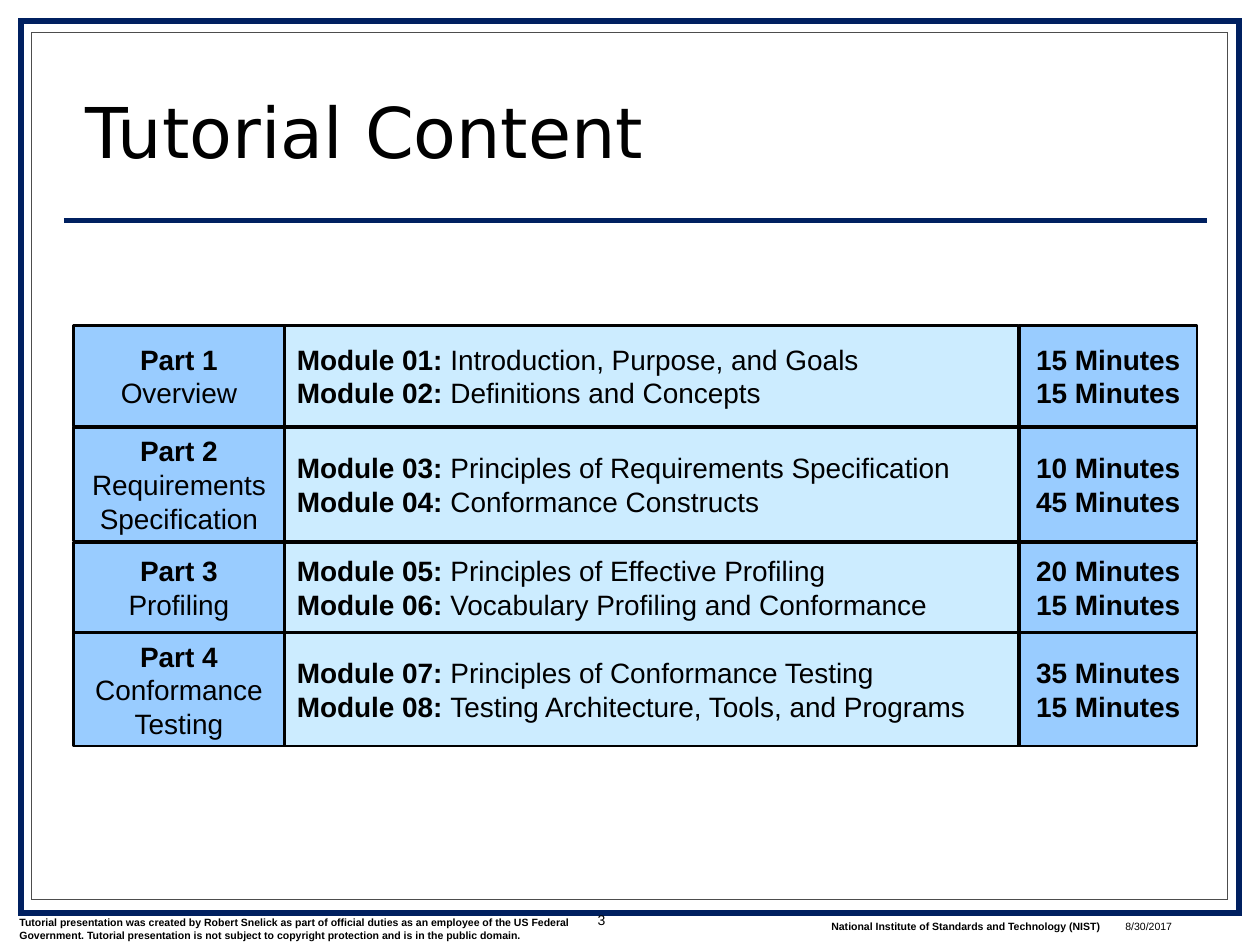
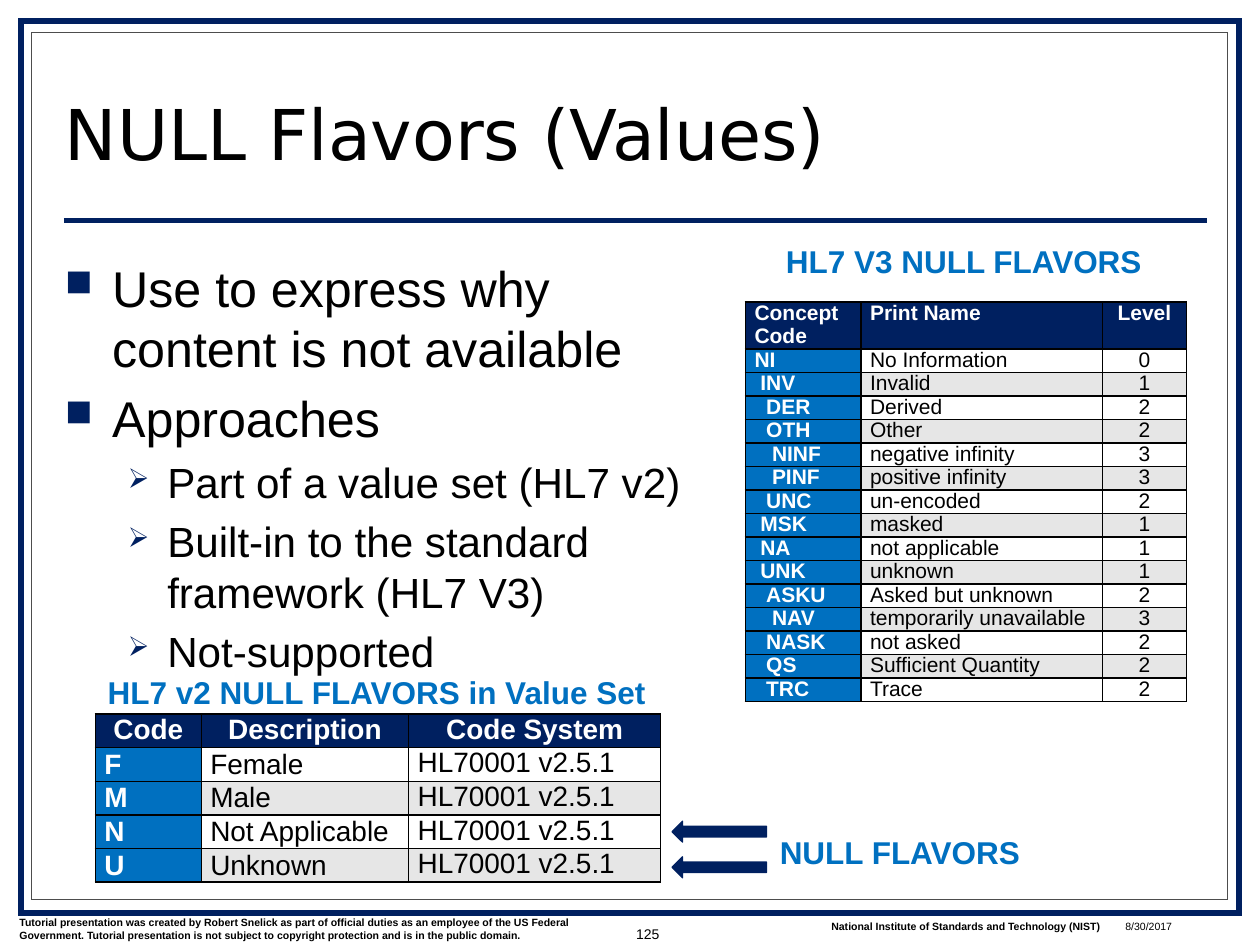
"""Build two tutorial slides: the course outline and the HL7 null flavors."""
from dataclasses import dataclass

from lxml import etree
from pptx import Presentation
from pptx.dml.color import RGBColor
from pptx.enum import shapes, text
from pptx.oxml import ns
from pptx.util import Pt

ALIGN = text.PP_ALIGN
ANCHOR = text.MSO_ANCHOR


@dataclass(frozen=True)
class Theme:
    """Colours, fonts and type sizes shared by the slides."""
    navy: str = "002060"
    blue: str = "0070C0"
    sky: str = "99CCFF"
    pale: str = "CCECFF"
    band: str = "E6E6E6"
    gray: str = "4D4D4D"
    black: str = "000000"
    white: str = "FFFFFF"
    body_font: str = "Arial"
    title_font: str = "DejaVu Sans"
    title: float = 40
    bullet: float = 28.7
    sub_bullet: float = 24.1
    caption: float = 18
    cell: float = 16
    small_cell: float = 12
    number: float = 8
    footer: float = 6


THEME = Theme()

CREDIT = ("Tutorial presentation was created by Robert Snelick as part of official duties "
          "as an employee of the US Federal Government. Tutorial presentation is not subject "
          "to copyright protection and is in the public domain.")
INSTITUTE = "National Institute of Standards and Technology (NIST)"

PARTS = [
    (186, 57.6, "Part 1", "Overview",
     [("01", "Introduction, Purpose, and Goals", 15),
      ("02", "Definitions and Concepts", 15)]),
    (244.2, 65, "Part 2", "Requirements Specification",
     [("03", "Principles of Requirements Specification", 10),
      ("04", "Conformance Constructs", 45)]),
    (310, 51.5, "Part 3", "Profiling",
     [("05", "Principles of Effective Profiling", 20),
      ("06", "Vocabulary Profiling and Conformance", 15)]),
    (361.6, 64.8, "Part 4", "Conformance Testing",
     [("07", "Principles of Conformance Testing", 35),
      ("08", "Testing Architecture, Tools, and Programs", 15)]),
]

BULLETS = [
    (0, "Use to express why content is not available"),
    (0, "Approaches"),
    (1, "Part of a value set (HL7 v2)"),
    (1, "Built-in to the standard framework (HL7 V3)"),
    (1, "Not-supported"),
]

V3_FLAVORS = [
    ("NI", "No Information", 0), ("INV", "Invalid", 1), ("DER", "Derived", 2),
    ("OTH", "Other", 2), ("NINF", "negative infinity", 3),
    ("PINF", "positive infinity", 3), ("UNC", "un-encoded", 2), ("MSK", "masked", 1),
    ("NA", "not applicable", 1), ("UNK", "unknown", 1), ("ASKU", "Asked but unknown", 2),
    ("NAV", "temporarily unavailable", 3), ("NASK", "not asked", 2),
    ("QS", "Sufficient Quantity", 2), ("TRC", "Trace", 2),
]

V2_CODES = [("F", "Female"), ("M", "Male"), ("N", "Not Applicable"), ("U", "Unknown")]


def rgb(color):
    """Turn a hex string into a colour."""
    return RGBColor.from_string(color)


def style_run(run, size, color=THEME.black, bold=False, font=THEME.body_font):
    """Set the font of one run."""
    run.font.name = font
    run.font.size = Pt(size)
    run.font.bold = bold
    run.font.color.rgb = rgb(color)


def add_paragraph(frame, index, parts, size, align=ALIGN.LEFT):
    """Write one paragraph of (text, bold) parts."""
    paragraph = frame.paragraphs[0] if index == 0 else frame.add_paragraph()
    paragraph.alignment = align
    for words, bold in parts:
        run = paragraph.add_run()
        run.text = words
        style_run(run, size, bold=bold)


def add_shape(slide, kind, box, fill, line, width):
    """Draw a preset shape without shadow."""
    shape = slide.shapes.add_shape(kind, *map(Pt, box))
    shape.shadow.inherit = False
    shape.fill.solid()
    shape.fill.fore_color.rgb = rgb(fill)
    shape.line.color.rgb = rgb(line)
    shape.line.width = Pt(width)
    return shape


def add_frame(slide, box, line, width):
    """Draw a white page frame with square corners."""
    frame = add_shape(slide, shapes.MSO_SHAPE.RECTANGLE, box, THEME.white, line, width)
    outline = frame._element.spPr.find(ns.qn("a:ln"))
    etree.SubElement(outline, ns.qn("a:miter"), lim="800000")


def add_text(slide, box, words, size, align=ALIGN.LEFT, anchor=ANCHOR.TOP, wrap=True, **font):
    """Place a single-paragraph text box."""
    frame = slide.shapes.add_textbox(*map(Pt, box)).text_frame
    frame.word_wrap = wrap
    frame.vertical_anchor = anchor
    frame.text = words
    paragraph = frame.paragraphs[0]
    paragraph.alignment = align
    style_run(paragraph.runs[0], size, **font)
    return paragraph


def add_caption(slide, box, words, wrap=False):
    """Place a bold blue caption."""
    add_text(slide, box, words, THEME.caption, wrap=wrap, color=THEME.blue, bold=True)


def add_title_rule(slide):
    """Draw the line under the title."""
    rule = slide.shapes.add_connector(shapes.MSO_CONNECTOR.STRAIGHT,
                                      Pt(36.5), Pt(126), Pt(690), Pt(126))
    rule.line.color.rgb = rgb(THEME.navy)
    rule.line.width = Pt(3)
    etree.SubElement(rule._element.spPr, ns.qn("a:effectLst"))


def add_base_slide(presentation, title, title_box, number, number_box):
    """Add a slide with frame, title, rule and footer."""
    slide = presentation.slides.add_slide(presentation.slide_layouts[6])
    add_frame(slide, (12, 12, 696, 510), THEME.navy, 3.5)
    add_frame(slide, (18, 18.5, 683.5, 495.5), THEME.gray, 0.75)
    add_title_rule(slide)
    add_text(slide, (4, 520, 348, 21.6), CREDIT, THEME.footer, bold=True)
    add_text(slide, (468, 522, 171.5, 14.4), INSTITUTE, THEME.footer, bold=True)
    heading = add_text(slide, title_box, title, THEME.title, anchor=ANCHOR.BOTTOM,
                       font=THEME.title_font)
    heading.line_spacing = 0.8
    add_text(slide, (636, 522, 66, 12), "8/30/2017", THEME.footer)
    add_text(slide, number_box, number, THEME.number, ALIGN.RIGHT, ANCHOR.MIDDLE)
    return slide


def add_panel(slide, box, fill, lines, align):
    """Draw an outlined panel holding lines of (text, bold) parts."""
    panel = add_shape(slide, shapes.MSO_SHAPE.RECTANGLE, box, fill, THEME.black, 1.5)
    frame = panel.text_frame
    frame.word_wrap = True
    frame.vertical_anchor = ANCHOR.MIDDLE
    for index, parts in enumerate(lines):
        add_paragraph(frame, index, parts, THEME.cell, align)


def add_part_row(slide, top, height, part, topic, modules):
    """Draw one outline row: part, modules and durations."""
    add_panel(slide, (42, top, 120.5, height), THEME.sky,
              [[(part, True)], [(topic, False)]], ALIGN.CENTER)
    add_panel(slide, (162.5, top, 419.5, height), THEME.pale,
              [[(f"Module {code}: ", True), (name, False)] for code, name, _ in modules],
              ALIGN.LEFT)
    add_panel(slide, (582.5, top, 101.5, height), THEME.sky,
              [[(f"{minutes} Minutes", True)] for _, _, minutes in modules], ALIGN.CENTER)


def set_bullet(paragraph, character, percent, margin, hanging):
    """Give a paragraph a coloured hanging bullet."""
    properties = paragraph._p.get_or_add_pPr()
    properties.set("marL", str(Pt(margin)))
    properties.set("indent", str(-Pt(hanging)))
    color = etree.SubElement(properties, ns.qn("a:buClr"))
    etree.SubElement(color, ns.qn("a:srgbClr"), val=THEME.navy)
    etree.SubElement(properties, ns.qn("a:buSzPct"), val=str(percent * 1000))
    etree.SubElement(properties, ns.qn("a:buChar"), char=character)


def add_bullets(slide, box, items):
    """Write a two-level bullet list."""
    levels = [("■", 75, 27, 27, THEME.bullet), ("➢", 65, 58.5, 22.5, THEME.sub_bullet)]
    frame = slide.shapes.add_textbox(*map(Pt, box)).text_frame
    frame.word_wrap = True
    for index, (level, words) in enumerate(items):
        character, percent, margin, hanging, size = levels[level]
        add_paragraph(frame, index, [(words, False)], size)
        paragraph = frame.paragraphs[index]
        paragraph.level = level
        set_bullet(paragraph, character, percent, margin, hanging)
        if index:
            paragraph.space_before = Pt(round(size * 0.2, 1))


def set_borders(cell):
    """Outline a cell with thin black lines."""
    properties = cell._tc.get_or_add_tcPr()
    for position, side in enumerate(("lnL", "lnR", "lnT", "lnB")):
        line = etree.Element(ns.qn(f"a:{side}"), w=str(Pt(1)))
        fill = etree.SubElement(line, ns.qn("a:solidFill"))
        etree.SubElement(fill, ns.qn("a:srgbClr"), val=THEME.black)
        properties.insert(position, line)


def fill_cell(cell, words, size, align, fill, header):
    """Write and colour one table cell."""
    cell.margin_left = cell.margin_right = Pt(5.2)
    cell.margin_top = cell.margin_bottom = 0
    cell.text = words
    paragraph = cell.text_frame.paragraphs[0]
    paragraph.alignment = align
    style_run(paragraph.runs[0], size, THEME.white if header else THEME.black, header)
    if fill:
        cell.fill.solid()
        cell.fill.fore_color.rgb = rgb(fill)
    else:
        cell.fill.background()
    set_borders(cell)


def add_code_table(slide, left, top, widths, heights, rows, size, head_aligns, body_aligns):
    """Add a table with a navy header, blue codes and banded rows."""
    frame = slide.shapes.add_table(len(rows), len(widths), Pt(left), Pt(top),
                                   Pt(sum(widths)), Pt(sum(heights)))
    table = frame.table
    for column, width in zip(table.columns, widths):
        column.width = Pt(width)
    for row_index, row in enumerate(rows):
        table.rows[row_index].height = Pt(heights[row_index])
        body_fill = None if row_index % 2 else THEME.band
        for column_index, words in enumerate(row):
            header = row_index == 0 or column_index == 0
            fill = body_fill
            if header:
                fill = THEME.blue if row_index else THEME.navy
            align = (body_aligns if row_index else head_aligns)[column_index]
            fill_cell(table.cell(row_index, column_index), str(words), size, align, fill, header)
    return table


def add_v3_table(slide):
    """Add the V3 table with tight lines and codes indented by level."""
    aligns = [ALIGN.JUSTIFY, ALIGN.JUSTIFY, ALIGN.CENTER]
    rows = [("Concept Code", "Print Name", "Level"), *V3_FLAVORS]
    table = add_code_table(slide, 426, 172.6, (66, 138, 48), [26.8] + [13.45] * len(V3_FLAVORS),
                           rows, THEME.small_cell, aligns, aligns)
    for cell in table.iter_cells():
        cell.text_frame.paragraphs[0].line_spacing = Pt(13)
    for row_index, (_, _, level) in enumerate(V3_FLAVORS, 1):
        paragraph = table.cell(row_index, 0).text_frame.paragraphs[0]
        paragraph._p.get_or_add_pPr().set("marL", str(Pt(3.33 * level)))


def add_v2_table(slide):
    """Add the V2 value set table."""
    rows = [("Code", "Description", "Code System")]
    rows += [(code, name, "HL70001 v2.5.1") for code, name in V2_CODES]
    table = add_code_table(slide, 54.5, 408, (60.5, 118.5, 144), [19.2] * len(rows), rows,
                           THEME.cell, [ALIGN.CENTER] * 3, [ALIGN.JUSTIFY] * 3)
    for row_index in range(1, len(rows)):
        for column_index in range(2):
            table.cell(row_index, column_index).vertical_anchor = ANCHOR.MIDDLE


def build_content_slide(presentation):
    """Build the course outline."""
    slide = add_base_slide(presentation, "Tutorial Content", (42, 37, 642, 65),
                           "3", (311, 507, 42, 37.5))
    for row in PARTS:
        add_part_row(slide, *row)


def build_null_flavors_slide(presentation):
    """Build the null flavors slide."""
    slide = add_base_slide(presentation, "NULL Flavors (Values)", (30, 38, 660, 65),
                           "125", (342, 515, 42, 37.5))
    add_bullets(slide, (30, 143.5, 372, 230.5), BULLETS)
    add_v3_table(slide)
    add_caption(slide, (442, 134.8, 219.5, 29), "HL7 V3 NULL FLAVORS")
    add_v2_table(slide)
    add_caption(slide, (54.5, 381, 323.5, 29), "HL7 v2 NULL FLAVORS in Value Set", wrap=True)
    for top in (469.2, 489.6):
        arrow = add_shape(slide, shapes.MSO_SHAPE.RIGHT_ARROW, (384, top, 54, 12),
                          THEME.navy, THEME.navy, 0.75)
        arrow.rotation = 180
    add_caption(slide, (438.5, 472.5, 153.5, 29), "NULL FLAVORS")


def main():
    """Build and save the presentation."""
    presentation = Presentation()
    presentation.slide_width = Pt(720)
    presentation.slide_height = Pt(540)
    build_content_slide(presentation)
    build_null_flavors_slide(presentation)
    presentation.save("out.pptx")


if __name__ == "__main__":
    main()
